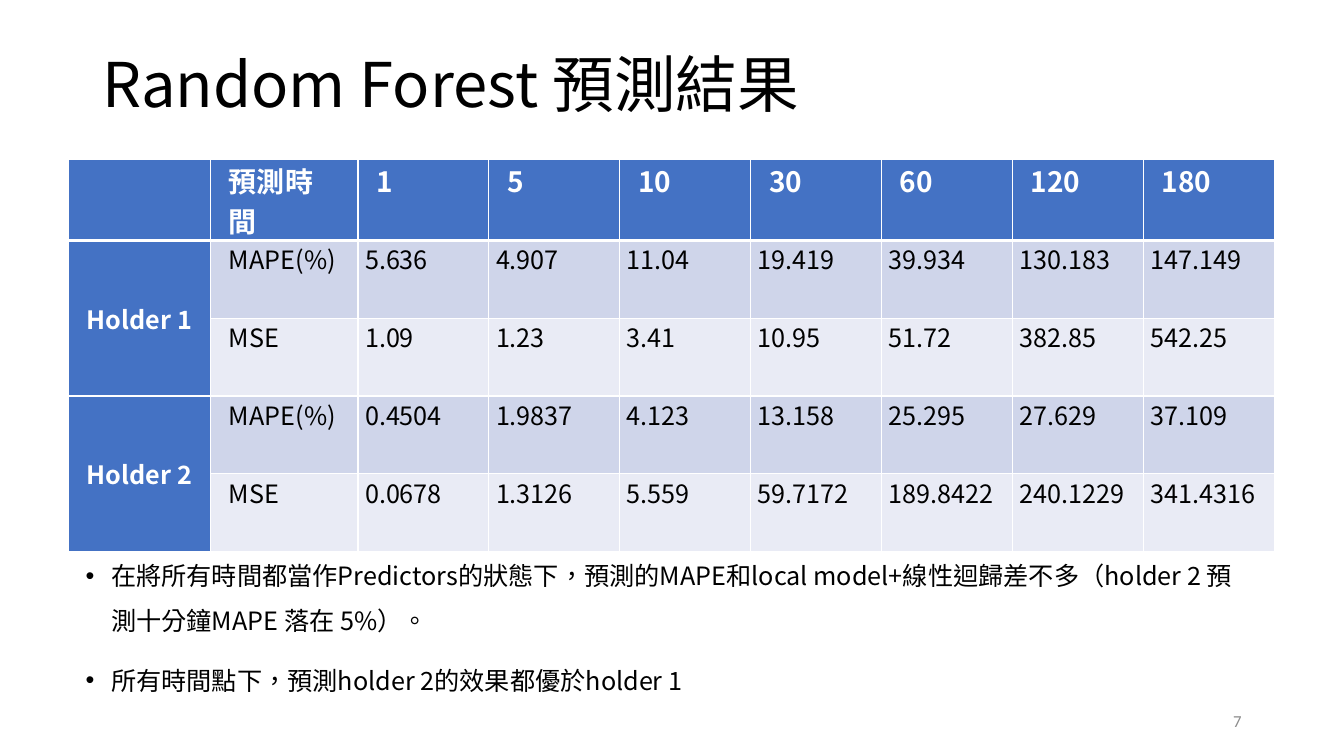
from lxml.etree import SubElement
from pptx import Presentation
from pptx.dml.color import RGBColor
from pptx.enum.text import MSO_ANCHOR as Anchor, PP_ALIGN as Align
from pptx.oxml.ns import qn
from pptx.util import Cm, Pt

BLACK = RGBColor(0x00, 0x00, 0x00)
WHITE = RGBColor(0xFF, 0xFF, 0xFF)
GREY = RGBColor(0x8C, 0x8C, 0x8C)
BLUE = RGBColor(0x44, 0x72, 0xC4)
BAND_DARK = RGBColor(0xCF, 0xD5, 0xEA)
BAND_LIGHT = RGBColor(0xE9, 0xEB, 0xF5)
CJK_FONT = "Noto Sans CJK SC"

RESULTS = [
    ["", "預測時間", "1", "5", "10", "30", "60", "120", "180"],
    ["Holder 1", "MAPE(%)", "5.636", "4.907", "11.04", "19.419", "39.934", "130.183", "147.149"],
    ["", "MSE", "1.09", "1.23", "3.41", "10.95", "51.72", "382.85", "542.25"],
    ["Holder 2", "MAPE(%)", "0.4504", "1.9837", "4.123", "13.158", "25.295", "27.629", "37.109"],
    ["", "MSE", "0.0678", "1.3126", "5.559", "59.7172", "189.8422", "240.1229", "341.4316"],
]
COLUMN_WIDTHS = [3.58, 3.71] + [3.3] * 7
ROW_HEIGHTS = [2.04] + [1.96] * 4
FINDINGS = [
    "在將所有時間都當作Predictors的狀態下，預測的MAPE和local model+線性迴歸差不多"
    "（holder 2 預測十分鐘MAPE 落在 5%）。",
    "所有時間點下，預測holder 2的效果都優於holder 1",
]


def write(para, text, size=18, color=BLACK, bold=False, font=CJK_FONT,
          align=None, line_spacing=None, space_before=0):
    """Put formatted text into a paragraph."""
    para.alignment = align
    para.line_spacing = line_spacing
    para.space_before = Pt(space_before)
    span = para.add_run()
    span.text = text
    span.font.size = Pt(size)
    span.font.bold = bold
    span.font.color.rgb = color
    span.font.name = font
    # East Asian font and Traditional Chinese punctuation
    SubElement(span.font._element, qn("a:ea"), typeface=font)
    span.font._element.set("lang", "zh-TW")


def add_bullet(para, indent):
    properties = para._p.get_or_add_pPr()
    properties.set("marL", str(indent))
    properties.set("indent", str(-indent))
    SubElement(properties, qn("a:buFont"), typeface="Arial")
    SubElement(properties, qn("a:buChar"), char="•")


def add_box(page, left, top, width, height, anchor=Anchor.TOP):
    box = page.shapes.add_textbox(Cm(left), Cm(top), Cm(width), Cm(height))
    frame = box.text_frame
    frame.word_wrap = True
    frame.vertical_anchor = anchor
    return frame


def add_borders(cell, top, bottom):
    """Draw white cell borders; call before the cell gets its fill."""
    properties = cell._tc.get_or_add_tcPr()
    for side, width in (("L", 1), ("R", 1), ("T", top), ("B", bottom)):
        line = SubElement(properties, qn(f"a:ln{side}"), w=str(Pt(width)))
        fill = SubElement(line, qn("a:solidFill"))
        SubElement(fill, qn("a:srgbClr"), val=str(WHITE))


def format_cell(cell, text, row, column):
    heading = row == 0 or column == 0
    add_borders(cell, top=3 if row == 1 else 1, bottom=3 if row == 0 else 1)
    cell.fill.solid()
    band = BAND_DARK if row % 2 else BAND_LIGHT
    cell.fill.fore_color.rgb = BLUE if heading else band
    inset = 0.46 if heading or column == 1 else 0.18
    cell.margin_left = cell.margin_right = Cm(inset)
    cell.margin_top = cell.margin_bottom = 0
    cell.vertical_anchor = Anchor.MIDDLE if column == 0 else Anchor.TOP
    if text:
        write(cell.text_frame.paragraphs[0], text, size=20 if row == 0 else 18,
              color=WHITE if heading else BLACK, bold=heading)


def add_results(page, left, top):
    table = page.shapes.add_table(
        len(RESULTS), len(COLUMN_WIDTHS), Cm(left), Cm(top),
        Cm(sum(COLUMN_WIDTHS)), Cm(sum(ROW_HEIGHTS))).table
    for column, width in zip(table.columns, COLUMN_WIDTHS):
        column.width = Cm(width)
    for row, height in zip(table.rows, ROW_HEIGHTS):
        row.height = Cm(height)
    for r, values in enumerate(RESULTS):
        for c, value in enumerate(values):
            format_cell(table.cell(r, c), value, r, c)
    # Each holder spans its two measures
    for r in (1, 3):
        table.cell(r, 0).merge(table.cell(r + 1, 0))


def add_findings(page):
    frame = add_box(page, 1.91, 13.61, 30.02, 4.42)
    for i, finding in enumerate(FINDINGS):
        para = frame.add_paragraph() if i else frame.paragraphs[0]
        add_bullet(para, Cm(0.64))
        write(para, finding, line_spacing=1.5, space_before=10 if i else 0)


def main():
    deck = Presentation()
    deck.slide_width, deck.slide_height = Cm(33.87), Cm(19.05)
    page = deck.slides.add_slide(deck.slide_layouts[6])

    # Title
    title = add_box(page, 2.33, 1.02, 29.21, 2.36, Anchor.MIDDLE)
    write(title.paragraphs[0], "Random Forest 預測結果", size=44, line_spacing=0.9)

    # Page number
    number = add_box(page, 23.92, 17.66, 7.62, 1.01, Anchor.MIDDLE)
    write(number.paragraphs[0], "7", size=12, color=GREY, font="Calibri",
          align=Align.RIGHT)

    # Results and findings
    add_results(page, 1.73, 4.02)
    add_findings(page)

    deck.save("out.pptx")


if __name__ == "__main__":
    main()
